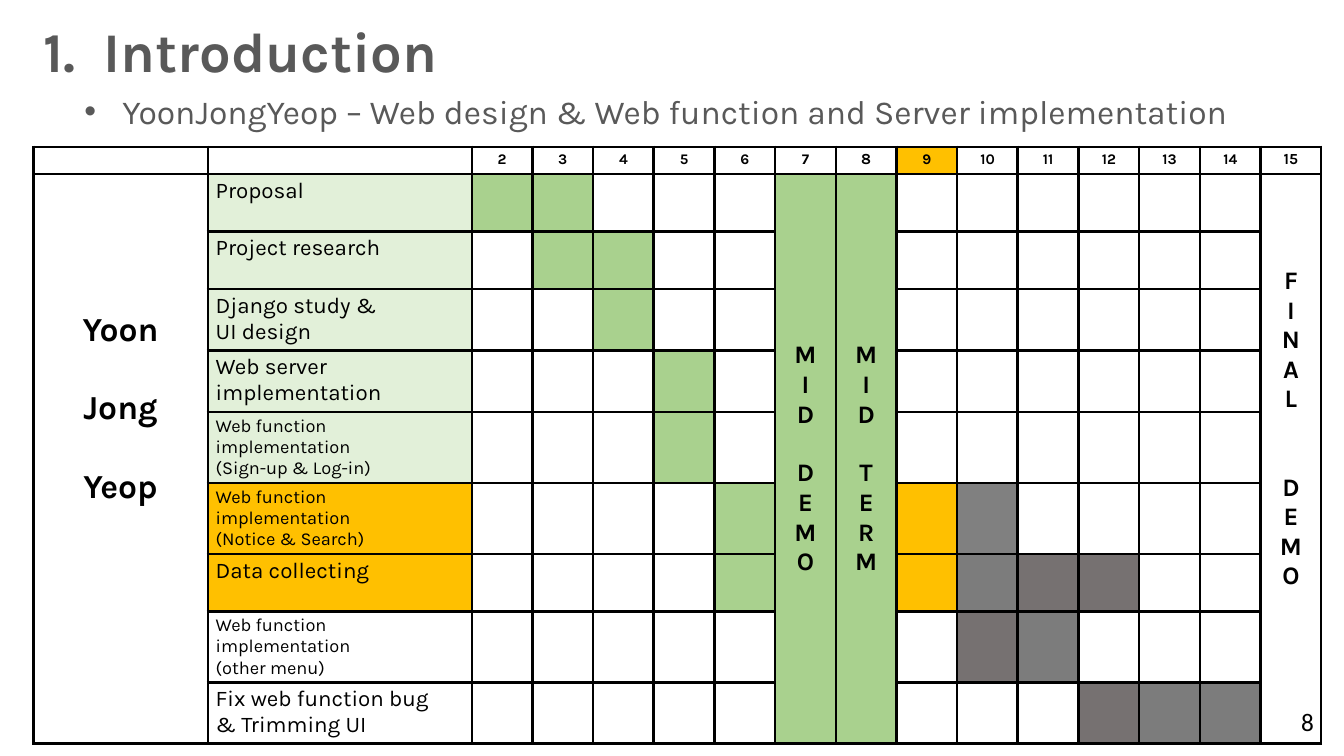
from lxml import etree
from pptx import Presentation
from pptx.dml.color import RGBColor
from pptx.enum import text as txt
from pptx.oxml import ns
from pptx.util import Pt

WHITE, BLACK, GRAY = "FFFFFF", "000000", "595959"
GREEN, PALE, AMBER = "A9D18E", "E2F0D9", "FFC000"
SLATE, STONE, STEEL = "767171", "7C7C7C", "808080"
LEFT, MID = txt.PP_ALIGN.LEFT, txt.PP_ALIGN.CENTER


def tint(code):
    return RGBColor.from_string(code)


def write(frame, words, size=16, bold=False, color=BLACK, font="Karla",
          align=LEFT, gaps={}):
    """Write one paragraph per line; gaps maps a line number to space before."""
    for i, line in enumerate(words.split("\n")):
        para = frame.paragraphs[0] if i == 0 else frame.add_paragraph()
        para.alignment = align
        if i in gaps:
            para.space_before = Pt(gaps[i])
        if not line:
            etree.SubElement(para._p, ns.qn("a:endParaRPr"), sz=str(int(size * 100)))
            continue
        run = para.add_run()
        run.text = line
        run.font.size, run.font.bold, run.font.name = Pt(size), bold, font
        run.font.color.rgb = tint(color)


deck = Presentation()
deck.slide_width, deck.slide_height = Pt(960), Pt(540)
slide = deck.slides.add_slide(deck.slide_layouts[6])

# Tasks: name, size, fill, row height, fills by week
tasks = [
    ("Proposal", 16, PALE, 41.1, {2: GREEN, 3: GREEN}),
    ("Project research", 16, PALE, 41.1, {3: GREEN, 4: GREEN}),
    ("Django study &\nUI design", 16, PALE, 43.8, {4: GREEN}),
    ("Web server implementation", 16, PALE, 43.8, {5: GREEN}),
    ("Web function implementation\n(Sign-up & Log-in)", 13, PALE, 41.1, {5: GREEN}),
    ("Web function implementation\n(Notice & Search)", 13, AMBER, 41.1,
     {6: GREEN, 9: AMBER, 10: STEEL}),
    ("Data collecting", 16, AMBER, 41.1,
     {6: GREEN, 9: AMBER, 10: STONE, 11: SLATE, 12: SLATE}),
    ("Web function implementation\n(other menu)", 13, WHITE, 41.1,
     {10: SLATE, 11: STONE}),
    ("Fix web function bug\n& Trimming UI", 16, WHITE, 43.8,
     {12: SLATE, 13: STONE, 14: STONE}),
]

# Merged columns: text, size, fill, top margin, gaps, anchor
spans = {
    0: ("Yoon\nJong\nYeop", 24, WHITE, 97.5, {1: 28, 2: 28}, txt.MSO_ANCHOR.TOP),
    7: ("M\nI\nD\nD\nE\nM\nO", 18, GREEN, 2.7, {3: 21}, txt.MSO_ANCHOR.MIDDLE),
    8: ("M\nI\nD\nT\nE\nR\nM", 18, GREEN, 2.7, {3: 21}, txt.MSO_ANCHOR.MIDDLE),
    15: ("F\nI\nN\nA\nL\nD\nE\nM\nO", 18, WHITE, 66, {5: 42}, txt.MSO_ANCHOR.TOP),
}

# Schedule grid
rows, cols = len(tasks) + 1, 16
grid = slide.shapes.add_table(
    rows, cols, Pt(23.8), Pt(104.9), Pt(920.2), Pt(397.4)).table
grid.first_row = grid.horz_banding = False
for col in range(cols):
    grid.columns[col].width = Pt({0: 124.6, 1: 188.6}.get(col, 43.35))
for row in range(rows):
    grid.rows[row].height = Pt(tasks[row - 1][3] if row else 19.45)
for col in spans:
    grid.cell(1, col).merge(grid.cell(rows - 1, col))

# Cells: borders, fills and text
thick = {("L", 5), ("L", 11), ("R", 4), ("R", 10)}
for row in range(rows):
    for col in range(cols):
        cell = grid.cell(row, col)
        cell.margin_left = cell.margin_right = Pt(5.7)
        cell.margin_top = cell.margin_bottom = Pt(2.7)
        for side in "LRTB":
            width = 2.55 if (side, col) in thick else 1.98
            line = etree.SubElement(cell._tc.get_or_add_tcPr(),
                                    ns.qn("a:ln" + side), w=str(Pt(width)))
            solid = etree.SubElement(line, ns.qn("a:solidFill"))
            etree.SubElement(solid, ns.qn("a:srgbClr"), val=BLACK)

        words, fill, style = "", WHITE, dict(size=10.5)
        if row == 0:
            fill = AMBER if col == 9 else WHITE
            words = str(col) if col > 1 else ""
            style = dict(size=11 if col in (8, 15) else 10.5, bold=True, align=MID)
        elif col in spans:
            label, size, fill, top, gaps, anchor = spans[col]
            if row == 1:
                words = label
                style = dict(size=size, bold=True, align=MID, gaps=gaps)
                cell.margin_top, cell.vertical_anchor = Pt(top), anchor
        elif col == 1:
            words, size, fill = tasks[row - 1][:3]
            style = dict(size=size)
        else:
            fill = tasks[row - 1][4].get(col, WHITE)
        cell.fill.solid()
        cell.fill.fore_color.rgb = tint(fill)
        write(cell.text_frame, words, **style)

# Title, subtitle and page number, in front of the grid
labels = [
    ("1.  Introduction", (23.8, 8.6, 440.6, 55.4), True,
     dict(size=40, bold=True, color=GRAY)),
    ("YoonJongYeop – Web design & Web function and Server implementation",
     (53.3, 61.2, 906.7, 36), True, dict(size=24, color=GRAY)),
    ("8", (922.3, 501.1, 23.8, 28.8), False, dict(size=18, font="Calibri")),
]
frames = []
for words, place, wrap, style in labels:
    frame = slide.shapes.add_textbox(*map(Pt, place)).text_frame
    frame.word_wrap = wrap
    frame.auto_size = txt.MSO_AUTO_SIZE.SHAPE_TO_FIT_TEXT
    write(frame, words, **style)
    frames.append(frame)

# Bullet of the subtitle
props = frames[1].paragraphs[0]._p.get_or_add_pPr()
props.set("marL", str(Pt(27)))
props.set("indent", str(Pt(-27)))
etree.SubElement(props, ns.qn("a:buFont"), typeface="Arial")
etree.SubElement(props, ns.qn("a:buChar"), char="•")

deck.save("out.pptx")
